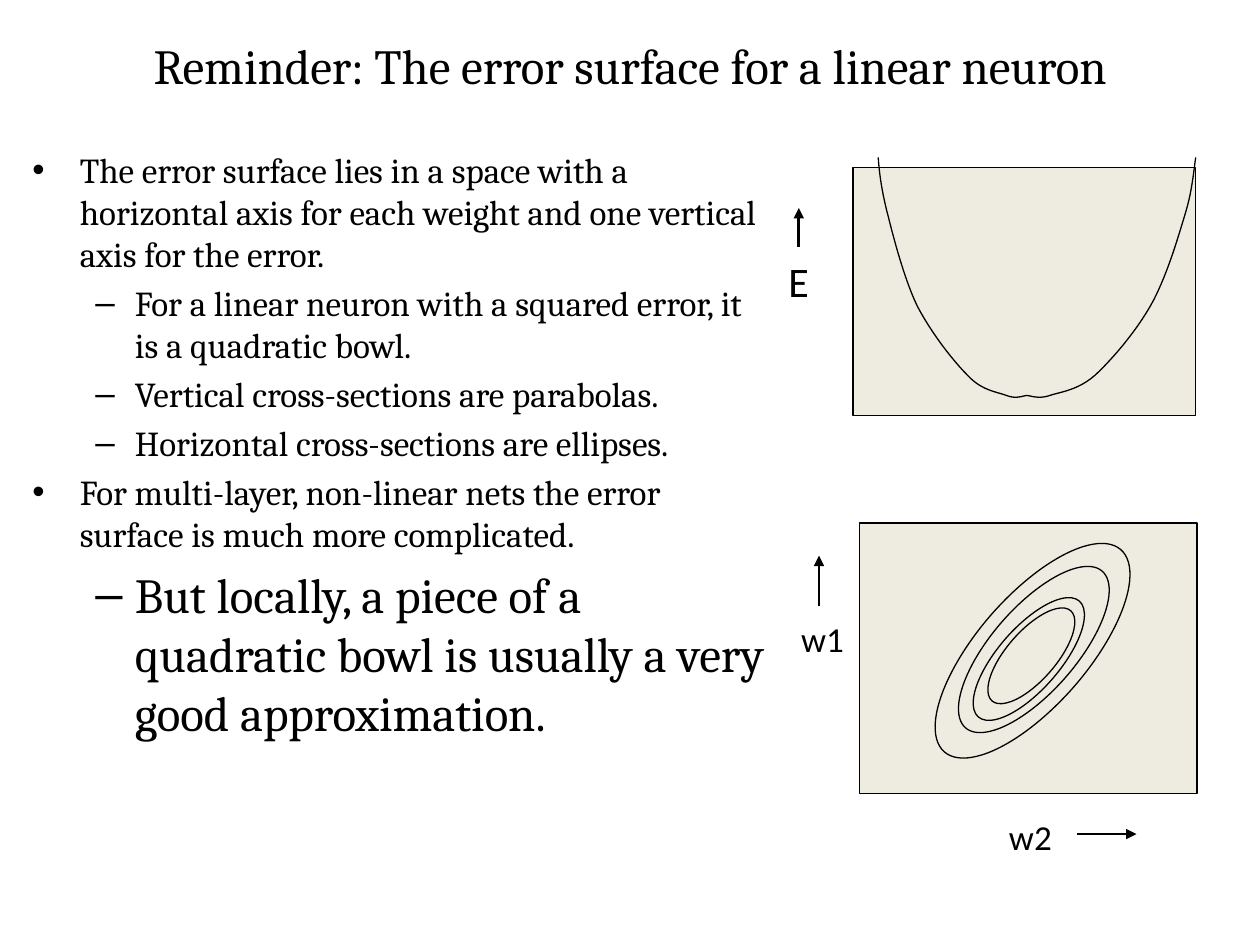
import pptx
import pptx.util
import pptx.enum.shapes
import pptx.enum.text
import pptx.dml.color
import pptx.oxml.ns
import lxml.etree

hues = {"ink": "000000", "sand": "EEECE1"}
color = {k: pptx.dml.color.RGBColor.from_string(v) for k, v in hues.items()}
kinds = pptx.enum.shapes.MSO_SHAPE
align = pptx.enum.text.PP_ALIGN
anchor = pptx.enum.text.MSO_ANCHOR
qn = pptx.oxml.ns.qn

deck = pptx.Presentation()
deck.slide_width = pptx.util.Inches(10)
deck.slide_height = pptx.util.Inches(7.5)
slide = deck.slides.add_slide(deck.slide_layouts[6])
shapes = slide.shapes

# Grid: 100 columns by 75 rows, both steps the same length
step = deck.slide_width // 100


def cells(*sizes):
    return [round(size * step) for size in sizes]


def write(box, lines, face, **format):
    """Fill a text box with (text, points) lines."""
    frame = box.text_frame
    for name, value in format.items():
        setattr(frame, name, value)
    for i, (text, size) in enumerate(lines):
        para = frame.paragraphs[0] if i == 0 else frame.add_paragraph()
        run = para.add_run()
        run.text = text
        for name, value in {"name": face, "size": pptx.util.Pt(size)}.items():
            setattr(run.font, name, value)
        run.font.color.rgb = color["ink"]
    return frame.paragraphs


# Title
box = shapes.add_textbox(*cells(5, -1.1, 90, 12.5))
title = write(box, [("Reminder: The error surface for a linear neuron", 28)],
              "Cambria", word_wrap=True, vertical_anchor=anchor.MIDDLE)
title[0].alignment = align.CENTER

# Bullet list: level, size, text
items = [
    (0, 20, "The error surface lies in a space with a horizontal axis for each "
            "weight and one vertical axis for the error."),
    (1, 20, "For a linear neuron with a squared error, it is a quadratic bowl."),
    (1, 20, "Vertical cross-sections are parabolas."),
    (1, 20, "Horizontal cross-sections are ellipses."),
    (0, 20, "For multi-layer, non-linear nets the error surface is much more "
            "complicated."),
    (1, 28, "But locally, a piece of a quadratic bowl is usually a very good "
            "approximation."),
]
marks = [("•", 3.75, -3.75), ("–", 8.13, -3.13)]
box = shapes.add_textbox(*cells(1.6, 11.3, 60.6, 57.5))
paras = write(box, [(text, size) for _, size, text in items], "Cambria",
              word_wrap=True)
for para, (level, size, _) in zip(paras, items):
    mark, left, hang = marks[level]
    para.level = level
    para.space_before = pptx.util.Pt(size * 0.2)
    props = para._p.get_or_add_pPr()
    for name, value in zip(("marL", "indent"), cells(left, hang)):
        props.set(name, str(value))
    lxml.etree.SubElement(props, qn("a:buFont")).set("typeface", "Arial")
    lxml.etree.SubElement(props, qn("a:buChar")).set("char", mark)

# Panels, then the tilted contours: kind, place, turn
tilt = 41.1
forms = [
    (kinds.RECTANGLE, (67.7, 13.3, 27.2, 19.7), 0),
    (kinds.RECTANGLE, (68.2, 41.5, 26.8, 21.5), 0),
    (kinds.OVAL, (77.6, 41, 8.7, 21.3), tilt),
    (kinds.OVAL, (78.7, 43.3, 6.7, 16.5), tilt),
    (kinds.OVAL, (79.2, 46.2, 4.9, 12.2), tilt),
    (kinds.OVAL, (79.9, 47.3, 3.9, 9.5), tilt),
]
for kind, place, turn in forms:
    form = shapes.add_shape(kind, *cells(*place))
    form.rotation = turn
    form.shadow.inherit = False
    form.fill.solid()
    form.fill.fore_color.rgb = color["sand"]
    form.line.color.rgb = color["ink"]
    form.line.width = pptx.util.Pt(0.75)

# Error bowl: each half is a chain of cubic curves, drawn in short steps
halves = [
    [(69.7, 12.5), (69.8, 13.9), (70, 15.3), (70.5, 17.2),
     (71, 19.2), (71.8, 22.2), (72.8, 24.3),
     (73.9, 26.4), (75.6, 28.6), (76.8, 29.8),
     (77.9, 31), (79.1, 31.1), (79.9, 31.4),
     (80.7, 31.7), (81.2, 31.4), (81.5, 31.4)],
    [(94.9, 12.5), (94.7, 13.9), (94.6, 15.3), (94, 17.2),
     (93.4, 19.2), (92.5, 22.2), (91.3, 24.3),
     (90.1, 26.4), (88.2, 28.6), (86.9, 29.8),
     (85.5, 31), (84.2, 31.1), (83.3, 31.4),
     (82.4, 31.7), (81.8, 31.4), (81.5, 31.4)],
]
parts = 12
for knots in halves:
    dots = []
    for i in range(0, len(knots) - 1, 3):
        for n in range(1, parts + 1):
            t = n / parts
            shares = ((1 - t) ** 3, 3 * t * (1 - t) ** 2,
                      3 * t ** 2 * (1 - t), t ** 3)
            dots.append(cells(*(sum(s * k[axis] for s, k in
                                    zip(shares, knots[i:i + 4]))
                                for axis in (0, 1))))
    pen = shapes.build_freeform(*cells(*knots[0]))
    pen.add_line_segments(dots, close=False)
    curve = pen.convert_to_shape()
    curve.shadow.inherit = False
    curve.fill.background()
    curve.line.color.rgb = color["ink"]
    curve.line.width = pptx.util.Pt(0.75)

# Axis labels
labels = [
    ("E", 24, (61.6, 19.8, 3.7, 5)),
    ("w1", 20, (62.6, 48.5, 5.4, 4.4)),
    ("w2", 20, (79.1, 64.2, 5.4, 4.4)),
]
for text, size, place in labels:
    write(shapes.add_textbox(*cells(*place)), [(text, size)], "Calibri",
          word_wrap=False,
          auto_size=pptx.enum.text.MSO_AUTO_SIZE.SHAPE_TO_FIT_TEXT)

# Axis arrows
arrows = [(63.4, 19.6, 63.4, 16.5), (65, 48.1, 65, 44.1),
          (85.5, 66.2, 90.2, 66.2)]
for ends in arrows:
    arrow = shapes.add_connector(pptx.enum.shapes.MSO_CONNECTOR.STRAIGHT,
                                 *cells(*ends))
    arrow.line.color.rgb = color["ink"]
    arrow.line.width = pptx.util.Pt(1.5)
    tip = lxml.etree.SubElement(arrow.line._get_or_add_ln(), qn("a:tailEnd"))
    tip.set("type", "triangle")
    lxml.etree.SubElement(arrow._element.spPr, qn("a:effectLst"))

deck.save("out.pptx")
